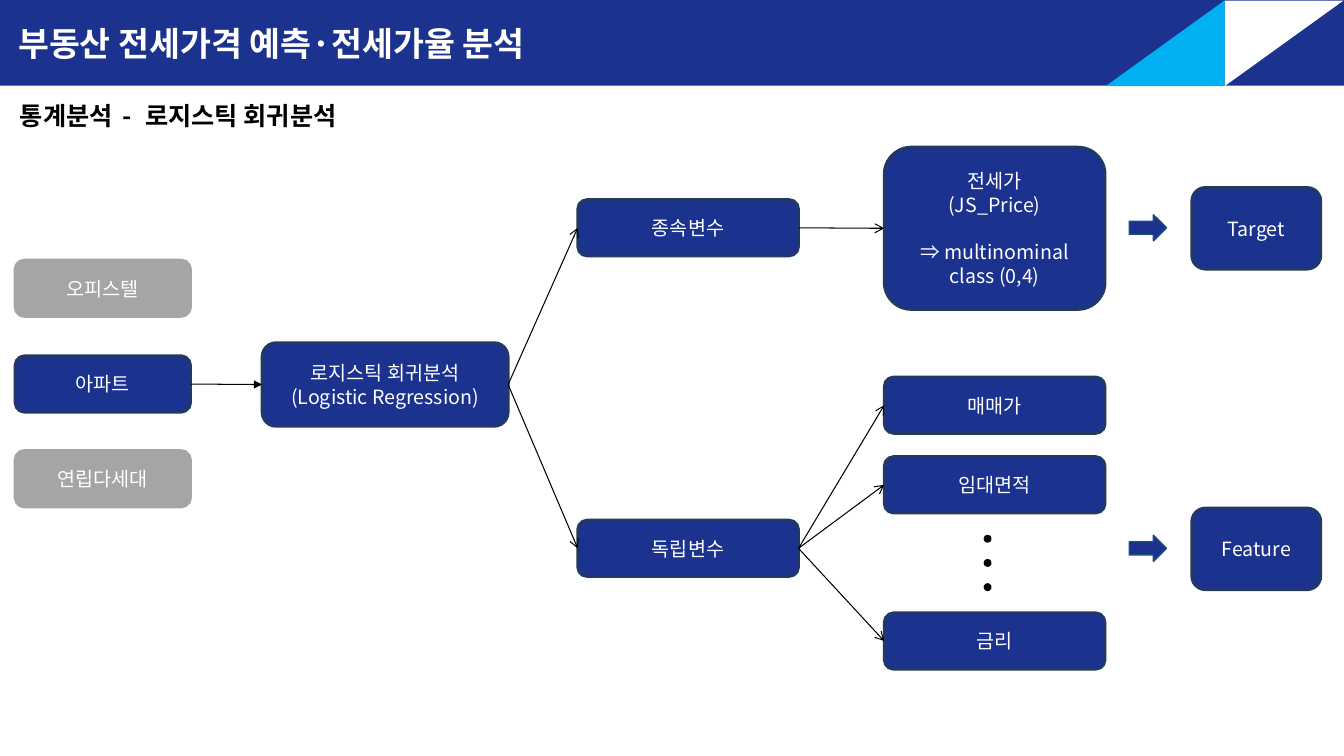
from dataclasses import dataclass

from lxml.etree import SubElement
from pptx import Presentation
from pptx.dml.color import RGBColor
from pptx.enum.shapes import MSO_CONNECTOR as Connector, MSO_SHAPE as Shape
from pptx.enum.text import MSO_ANCHOR as Anchor, PP_ALIGN as Align
from pptx.oxml.ns import qn
from pptx.util import Pt

PX = 9144


@dataclass(frozen=True)
class Theme:
    """Colours, font and type sizes of the slide."""
    navy: str = "1B328F"
    outline: str = "223961"
    arrow_edge: str = "1F4E79"
    sky: str = "00B0F0"
    gray: str = "A5A5A5"
    white: str = "FFFFFF"
    black: str = "000000"
    font: str = "Noto Sans CJK KR"
    title: int = 24
    subtitle: int = 18
    label: int = 14


THEME = Theme()


def px(*lengths):
    """Turn lengths in px into EMU."""
    return [length * PX for length in lengths]


def paint(target, fill, edge=None, weight=2):
    """Set the fill and outline of a shape."""
    target.fill.solid()
    target.fill.fore_color.rgb = RGBColor.from_string(fill)
    if edge:
        target.line.color.rgb = RGBColor.from_string(edge)
        target.line.width = Pt(weight)
    else:
        target.line.fill.background()


def write(frame, paragraphs, size=THEME.label, color=THEME.white, bold=False,
          align=Align.CENTER, anchor=Anchor.MIDDLE, gaps=(), tracking=()):
    """Fill a text frame with paragraphs, each a tuple of runs."""
    frame.word_wrap = True
    frame.vertical_anchor = anchor
    for index, runs in enumerate(paragraphs):
        paragraph = frame.add_paragraph() if index else frame.paragraphs[0]
        paragraph.alignment = align
        if index in gaps:
            paragraph.space_before = Pt(17)
        for words in runs:
            run = paragraph.add_run()
            run.text = words
            run.font.size = Pt(size)
            run.font.bold = bold
            run.font.name = THEME.font
            run.font.color.rgb = RGBColor.from_string(color)
            properties = run.font._element
            SubElement(properties, qn("a:ea"), typeface=THEME.font)
            if words in tracking:
                properties.set("spc", "280")


def add_figure(slide, kind, at, fill, edge=None, weight=2, rotation=0):
    """Add a preset shape without shadow."""
    figure = slide.shapes.add_shape(kind, *px(*at))
    figure.shadow.inherit = False
    figure.rotation = rotation
    paint(figure, fill, edge, weight)
    return figure


def add_node(slide, at, *lines, fill=THEME.navy, edge=THEME.outline, gaps=()):
    """Add a rounded box with centred lines of text."""
    node = add_figure(slide, Shape.ROUNDED_RECTANGLE, at, fill, edge)
    write(node.text_frame, [(line,) for line in lines], gaps=gaps)
    return node


def link(slide, source, target, head="arrow"):
    """Join the right side of one box to the left side of another."""
    connector = slide.shapes.add_connector(Connector.STRAIGHT, 0, 0, 0, 0)
    connector.begin_connect(source, 3)
    connector.end_connect(target, 1)
    connector.line.color.rgb = RGBColor.from_string(THEME.black)
    connector.line.width = Pt(0.75)
    SubElement(connector.line._get_or_add_ln(), qn("a:tailEnd"), type=head)
    SubElement(connector._element.spPr, qn("a:effectLst"))


def add_header(slide):
    """Build the title banner, its corner triangles and the subtitle."""
    title = slide.shapes.title
    title.left, title.top, title.width, title.height = px(0, 0, 1333, 85)
    paint(title, THEME.navy)
    title.text_frame.margin_left = 18 * PX
    write(title.text_frame, [("부동산 전세가격 예측·전세가율 분석",)],
          size=THEME.title, bold=True, align=Align.LEFT)
    for left, fill, rotation in ((1231, THEME.white, 90), (1113, THEME.sky, 270)):
        add_figure(slide, Shape.RIGHT_TRIANGLE, (left, -16, 85, 118), fill, rotation=rotation)
    subtitle = slide.shapes.add_textbox(*px(10, 95, 380, 40))
    write(subtitle.text_frame, [("통계분석", " - ", "로지스틱 회귀분석")],
          size=THEME.subtitle, color=THEME.black, bold=True,
          align=Align.LEFT, anchor=Anchor.TOP, tracking=(" - ",))


def main():
    """Build the logistic regression slide and save it."""
    deck = Presentation()
    deck.slide_width, deck.slide_height = px(1333, 750)
    slide = deck.slides.add_slide(deck.slide_layouts[5])
    add_header(slide)

    for top, housing in ((258, "오피스텔"), (447, "연립다세대")):
        add_node(slide, (15, top, 174, 56), housing, fill=THEME.gray, edge=THEME.gray)
    apartment = add_node(slide, (15, 353, 174, 56), "아파트")
    regression = add_node(slide, (260, 340, 244, 83),
                          "로지스틱 회귀분석", "(Logistic Regression)")
    dependent = add_node(slide, (573, 198, 219, 56), "종속변수")
    independent = add_node(slide, (573, 516, 219, 56), "독립변수")
    price = add_node(slide, (877, 146, 219, 161), "전세가", "(JS_Price)",
                     "⇒ multinominal class (0,4)", gaps=(2,))

    link(slide, apartment, regression, head="triangle")
    link(slide, regression, dependent)
    link(slide, regression, independent)
    link(slide, dependent, price)
    for top, feature in ((374, "매매가"), (453, "임대면적"), (608, "금리")):
        link(slide, independent, add_node(slide, (877, top, 219, 56), feature))
    for step in range(3):
        add_figure(slide, Shape.FLOWCHART_CONNECTOR, (977, 532 + 24 * step, 5, 5),
                   THEME.black, THEME.black)

    for middle, role in ((226, "Target"), (544, "Feature")):
        add_figure(slide, Shape.RIGHT_ARROW, (1120, middle - 13, 37, 26),
                   THEME.navy, THEME.arrow_edge, weight=1)
        add_node(slide, (1182, middle - 40, 128, 81), role)

    deck.save("out.pptx")


if __name__ == "__main__":
    main()
